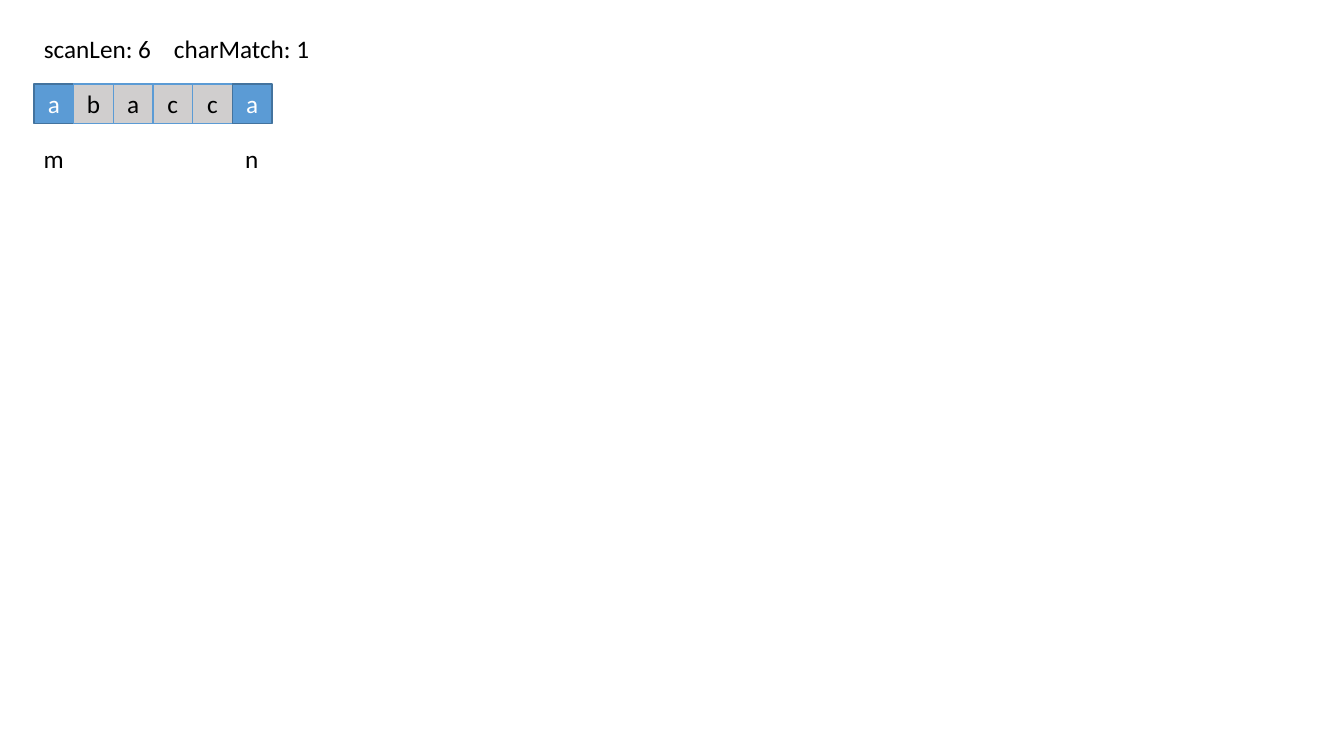
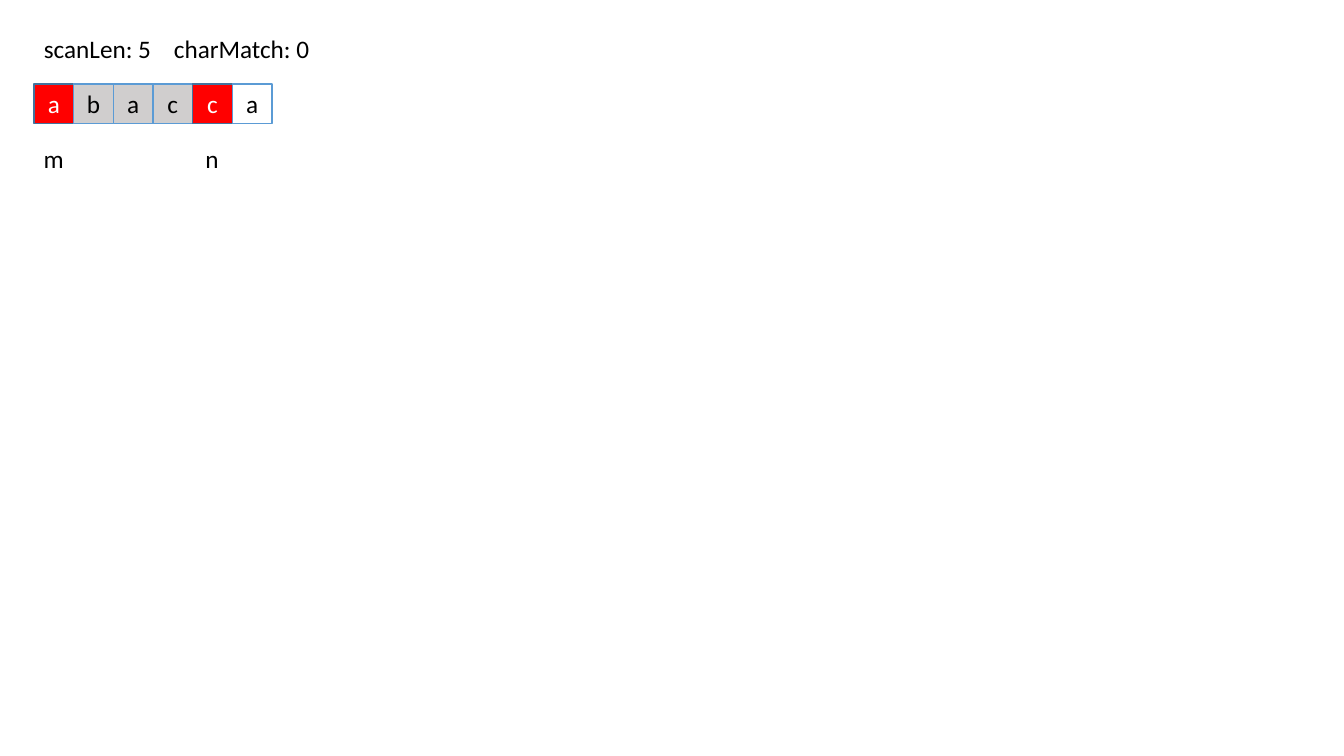
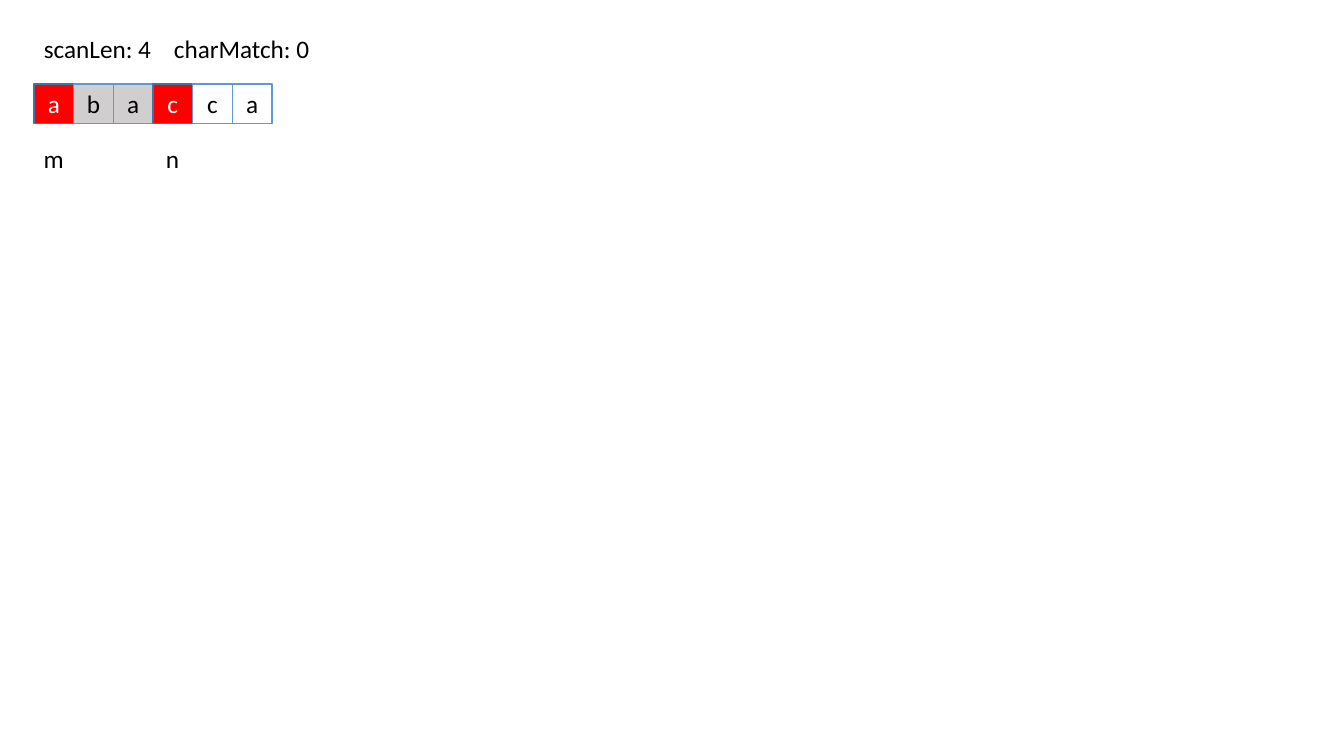
import pptx
import pptx.dml.color
import pptx.enum.shapes
import pptx.enum.text
import pptx.oxml
import pptx.oxml.ns
import pptx.util

RGBColor = pptx.dml.color.RGBColor
BLUE = RGBColor(0x5B, 0x9B, 0xD5)
DARK_BLUE = RGBColor(0x43, 0x73, 0x9E)
RED = RGBColor(0xFF, 0x00, 0x00)
GRAY = RGBColor(0xD0, 0xCE, 0xCE)
BLACK = RGBColor(0x00, 0x00, 0x00)
WHITE = RGBColor(0xFF, 0xFF, 0xFF)

LETTERS = "abacca"
FIRST = 0
# Each step: scan length, whether the two end letters match
STEPS = [(6, True), (5, False), (4, False)]

FONT, FONT_SIZE = "Calibri", 18
SLIDE_WIDTH, SLIDE_HEIGHT = 1344, 756
ROW_LEFT, ROW_TOP, ROW_WIDTH = 34, 84, 238
CELL = ROW_WIDTH / len(LETTERS)
HEADING_TOP, HEADING_WIDTH, HEADING_TAB = 28, 334, 130
MARKER_TOP, TEXT_HEIGHT = 138, 40
MARKER_WIDTHS = {"m": 40, "n": 34}


def emu(pixels):
    """Turn pixels into EMU."""
    return pptx.util.Emu(round(pixels * 914400 / 100.8))


def cell_left(index):
    """Return the left edge of a letter cell."""
    return ROW_LEFT + index * CELL


def write(shape, text, color):
    """Put one line of text into a shape."""
    shape.text_frame.text = text
    font = shape.text_frame.paragraphs[0].runs[0].font
    font.name, font.size = FONT, pptx.util.Pt(FONT_SIZE)
    font.color.rgb = color


def add_label(slide, text, left, top, width, wrap):
    """Add a black text box that grows with its text."""
    box = slide.shapes.add_textbox(
        emu(left), emu(top), emu(width), emu(TEXT_HEIGHT))
    box.text_frame.word_wrap = wrap
    box.text_frame.auto_size = pptx.enum.text.MSO_AUTO_SIZE.SHAPE_TO_FIT_TEXT
    write(box, text, BLACK)
    return box


def add_heading(slide, scan_length, matched):
    """Add the counters, the second one at a tab stop."""
    text = f"scanLen: {scan_length}\tcharMatch: {int(matched)}"
    box = add_label(slide, text, ROW_LEFT, HEADING_TOP, HEADING_WIDTH, True)
    tab_list = pptx.oxml.parse_xml(
        f'<a:tabLst {pptx.oxml.ns.nsdecls("a")}>'
        f'<a:tab pos="{emu(HEADING_TAB)}" algn="l"/></a:tabLst>')
    properties = box.text_frame.paragraphs[0]._p.get_or_add_pPr()
    properties.append(tab_list)


def add_cell(slide, index, fill, line, color):
    """Add one letter cell; no fill when fill is None."""
    cell = slide.shapes.add_shape(
        pptx.enum.shapes.MSO_SHAPE.RECTANGLE,
        emu(cell_left(index)), emu(ROW_TOP), emu(CELL), emu(CELL))
    cell.shadow.inherit = False
    if fill is None:
        cell.fill.background()
    else:
        cell.fill.solid()
        cell.fill.fore_color.rgb = fill
    cell.line.color.rgb = line
    cell.line.width = pptx.util.Pt(1)
    write(cell, LETTERS[index], color)
    cell.text_frame.vertical_anchor = pptx.enum.text.MSO_ANCHOR.MIDDLE
    cell.text_frame.paragraphs[0].alignment = pptx.enum.text.PP_ALIGN.CENTER


def add_marker(slide, name, index):
    """Add a pointer name centred below a cell."""
    width = MARKER_WIDTHS[name]
    left = cell_left(index) + (CELL - width) / 2
    add_label(slide, name, left, MARKER_TOP, width, False)


def add_step(presentation, scan_length, matched):
    """Add the slide for one scan step."""
    slide = presentation.slides.add_slide(presentation.slide_layouts[6])
    last = FIRST + scan_length - 1
    for index in range(len(LETTERS)):
        if index in (FIRST, last):
            add_cell(slide, index, BLUE if matched else RED, DARK_BLUE, WHITE)
        else:
            add_cell(slide, index, GRAY if index < last else None, BLUE, BLACK)
    add_heading(slide, scan_length, matched)
    add_marker(slide, "m", FIRST)
    add_marker(slide, "n", last)


presentation = pptx.Presentation()
presentation.slide_width = emu(SLIDE_WIDTH)
presentation.slide_height = emu(SLIDE_HEIGHT)
for scan_length, matched in STEPS:
    add_step(presentation, scan_length, matched)
presentation.save("out.pptx")
